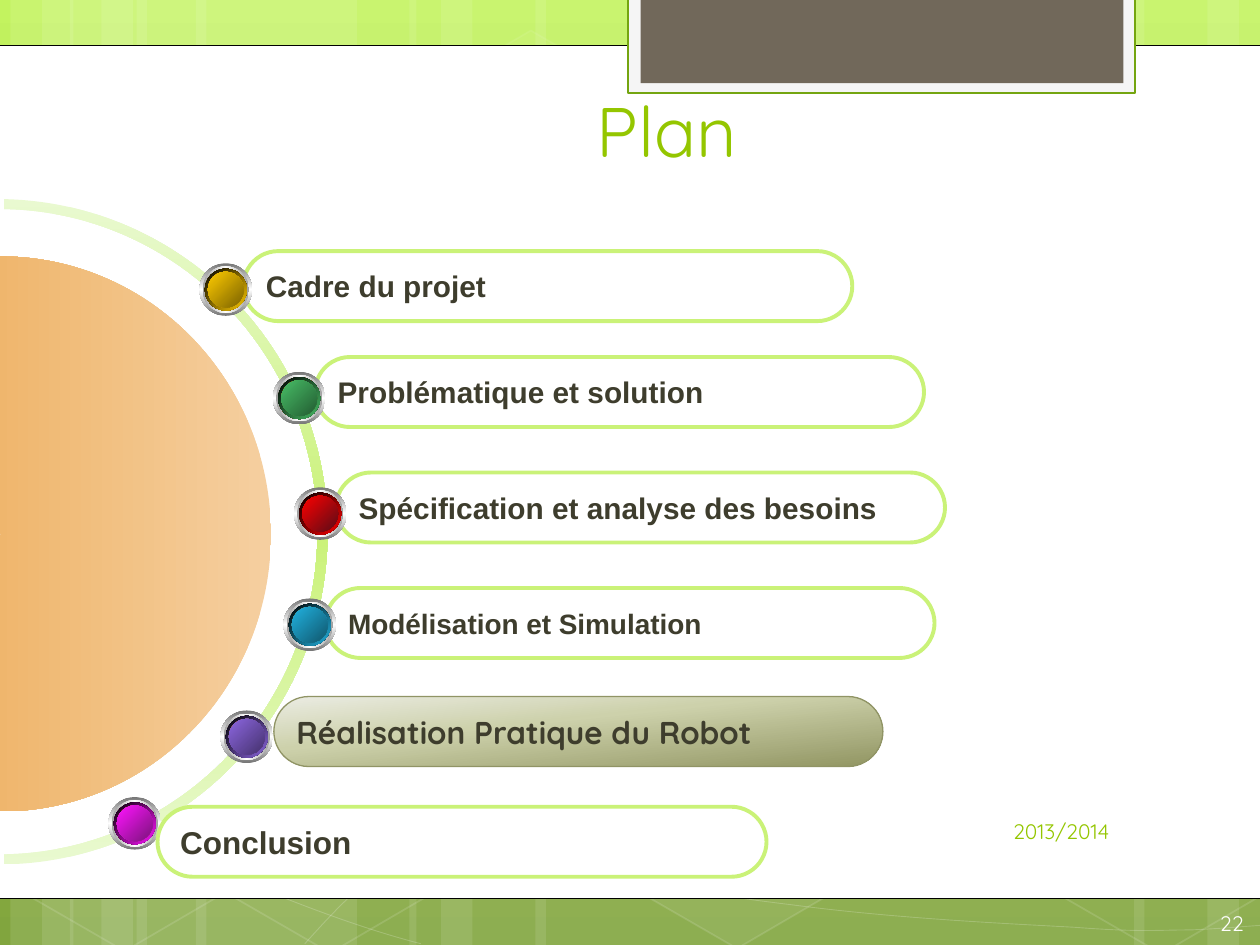
"""Build the "Plan" agenda slide: six pills with ball markers along an arc."""
from math import cos, radians, sin

from pptx import Presentation
from pptx.dml.color import RGBColor
from pptx.enum.shapes import MSO_SHAPE
from pptx.enum.text import MSO_ANCHOR, PP_ALIGN
from pptx.oxml import parse_xml
from pptx.oxml.ns import nsdecls, qn
from pptx.util import Pt

RECT, ROUND, OVAL, HEXAGON = (MSO_SHAPE.RECTANGLE, MSO_SHAPE.ROUNDED_RECTANGLE,
                              MSO_SHAPE.OVAL, MSO_SHAPE.HEXAGON)
MIDDLE, BOTTOM = MSO_ANCHOR.MIDDLE, MSO_ANCHOR.BOTTOM
LEFT, CENTER, RIGHT = PP_ALIGN.LEFT, PP_ALIGN.CENTER, PP_ALIGN.RIGHT
SEGMENTS = {"M": ("moveTo", 1), "L": ("lnTo", 1), "C": ("cubicBezTo", 3)}

W, H = 720, 540
WHITE, LIME, GREEN, INK = "FFFFFF", "CAF278", "94C600", "3E3D2D"
BACKDROP = [(0, "C3F35F"), (62, "93BF3F"), (100, "81A53E")]
STRIPES = [(78, 126), (6, 36), (24, 60), (112, 126), (40, 36), (58, 60),
           (528, 126), (690, 36), (648, 60), (306, 222), (234, 36), (252, 60)]
CURVES = [
    ((4.3, 444.2, 236.9, 95), "M 4.3 444.2 C 91.4 483.8 177.8 523.4 240.5 539.3"),
    ((5, 416.2, 720, 116.6),
     "M 5 416.2 C 27.4 424.1 50.4 432 92.2 443.5 133.9 454.3 196.6 472.3 257 484.6 "
     "316.8 496.8 392.4 509.8 452.2 517 511.9 524.9 576 527.8 614.2 529.9 "
     "651.6 532.8 661.7 531.4 680.4 531.4 699.1 530.6 712.1 529.2 725 528.5"),
    ((174.2, 403.9, 550.1, 135.4),
     "M 174.2 539.3 C 187.2 524.9 200.2 510.5 217.4 497.5 234.7 484.6 259.2 470.2 279.4 460.1 "
     "299.5 450 311.8 445.7 338.4 438.5 364.3 431.3 412.6 421.2 437.8 416.2 "
     "463.7 411.1 467.3 411.1 489.6 409.7 511.9 407.5 547.2 405.4 571.7 404.6 "
     "596.9 403.9 637.9 404.6 637.9 404.6 L 686.2 404.6 "
     "C 699.1 405.4 711.4 406.1 717.8 406.8 724.3 407.5 722.2 406.8 724.3 407.5"),
]
HEXAGONS = [(240.5, 26, 4, 8), (358, 424, 6, 12), (8, 425.5, 0, 12), (10, 224.5, 7, 8),
            (125.5, 426.5, 0, 12), (600.5, 427, 0, 12), (600.5, 226, 7, 8)]
CUT_HEXAGONS = [
    ((-23.8, 330.5, 99.4, 109.4), 10,
     "M 5.8 320.4 L 13.7 315.4 69.1 347 68.4 410.4 14.4 442.1 5.8 437 5.8 320.4 Z"),
    ((660.2, 319.7, 97.9, 109.4), 4,
     "M 666.7 349.2 L 720.7 317.5 726.5 321.1 726.5 441.4 721.4 444.2 666.7 412.6 666.7 349.2 Z"),
    ((660.2, 118.8, 97.9, 109.4), 0,
     "M 666.7 149 L 720.7 117.4 727.2 121 726.5 241.2 721.4 244.1 666.7 212.4 666.7 149 Z"),
]
ARC = ((-190.8, 115.9, 380.2, 375.8),
       "M 2.2 119.5 C 101.5 121 181.4 203 181.4 303.8 181.4 404.6 101.5 486.7 2.2 488.2 "
       "L 2.2 493.9 C 104.4 492.5 187.2 407.5 187.2 303.8 187.2 200.2 104.4 115.9 2.2 113.8 Z")
ARC_FILL = [(0, "E9F9D0"), (50, LIME), (100, "E9F9D0")]
DISC = ((-159.1, 150.5, 317.5, 309.6),
        "M 0 306 C 0.7 306 0.7 305.3 0.7 305.3 0.7 304.6 0.7 304.6 0 304.6 "
        "L 0 146.5 C 85.7 146.5 154.8 217.4 154.8 305.3 154.8 393.1 85.7 463.7 0 463.7 Z")
DISC_FILL = [(0, "F5CFA0"), (70, "EDAC58"), (100, "EDA850")]
ACTIVE_FILL = [(0, "EBECE3"), (40, "CDD1AB"), (100, "929663")]
ROWS = [
    ("Cadre du projet", 17, (139, 143.5), (129, 165.5), "FFCC00", "7C6300"),
    ("Problématique et solution", 17, (180, 204), (171, 227.5), "48BE67", "235C32"),
    ("Spécification et analyse des besoins", 17, (192, 270), (183, 293.5), "FF0000", "5C0C17"),
    ("Modélisation et Simulation", 16, (186, 336), (177, 357), "21B3E1", "10576D"),
    ("Réalisation Pratique du Robot", 18, (156.5, 398), (141, 421), "8D67E1", "45326D"),
    ("Conclusion", 18, (90, 461), (77, 470.5), "FF13FF", "7C137C"),
]
ACTIVE = "Réalisation Pratique du Robot"


def rgb(value):
    return RGBColor.from_string(value)


def fade(parent, percent):
    color = parent.find(".//" + qn("a:srgbClr"))
    color.append(parse_xml(f'<a:alpha {nsdecls("a")} val="{percent * 1000}"/>'))


def gradient(fill, root, stops, angle):
    fill.solid()
    old = root.find(".//" + qn("a:solidFill"))
    gs = "".join(f'<a:gs pos="{pos * 1000}"><a:srgbClr val="{c}"/></a:gs>' for pos, c in stops)
    old.getparent().replace(old, parse_xml(
        f'<a:gradFill {nsdecls("a")} rotWithShape="1"><a:gsLst>{gs}</a:gsLst>'
        f'<a:lin ang="{angle * 60000}" scaled="0"/></a:gradFill>'))


def paint(sp, fill=None, line=None, width=1, angle=0, alpha=None, line_alpha=None):
    sp.shadow.inherit = False
    if isinstance(fill, list):
        gradient(sp.fill, sp.element.spPr, fill, angle)
    elif fill:
        sp.fill.solid()
        sp.fill.fore_color.rgb = rgb(fill)
        if alpha:
            fade(sp.element.spPr, alpha)
    else:
        sp.fill.background()
    if line:
        sp.line.color.rgb = rgb(line)
        sp.line.width = Pt(width)
        if line_alpha:
            fade(sp.element.spPr.find(qn("a:ln")), line_alpha)
    else:
        sp.line.fill.background()
    return sp


def shape(s, kind, x, y, w, h, *args, **look):
    return paint(s.shapes.add_shape(kind, Pt(x), Pt(y), Pt(w), Pt(h)), *args, **look)


def segments(track, box, turn):
    x, y, w, h = box
    c, d = cos(radians(turn)), sin(radians(turn))
    tag, count, coords, xml = "", 0, [], ""
    for token in track.split():
        if token == "Z":
            xml += "<a:close/>"
        elif token in SEGMENTS:
            tag, count = SEGMENTS[token]
        else:
            coords.append(float(token))
            if len(coords) == 2 * count:
                pts = ""
                for px, py in zip(coords[::2], coords[1::2]):
                    dx, dy = px - x - w / 2, py - y - h / 2
                    lx, ly = w / 2 + dx * c + dy * d, h / 2 + dy * c - dx * d
                    pts += f'<a:pt x="{int(Pt(lx))}" y="{int(Pt(ly))}"/>'
                xml += f"<a:{tag}>{pts}</a:{tag}>"
                coords = []
    return xml


def outline(s, box, track, turn=0, **look):
    x, y, w, h = (Pt(v) for v in box)
    builder = s.shapes.build_freeform(x, y)
    builder.add_line_segments([(x + w, y + h)], close=False)
    sp = builder.convert_to_shape()
    old = sp.element.spPr.find(".//" + qn("a:path"))
    old.getparent().replace(old, parse_xml(
        f'<a:path {nsdecls("a")} w="{int(w)}" h="{int(h)}">{segments(track, box, turn)}</a:path>'))
    sp.rotation = turn
    return paint(sp, **look)


def write(sp, text, size, font, color, align=LEFT, anchor=MIDDLE, bold=False, wrap=True):
    tf = sp.text_frame
    tf.word_wrap = wrap
    tf.vertical_anchor = anchor
    p = tf.paragraphs[0]
    p.text = text
    p.alignment = align
    p.font.size = Pt(size)
    p.font.name = font
    p.font.bold = bold
    p.font.color.rgb = rgb(color)


def label(s, x, y, w, h, *args, **style):
    write(s.shapes.add_textbox(Pt(x), Pt(y), Pt(w), Pt(h)), *args, **style)


def pill(s, text, size, corner):
    active = text == ACTIVE
    look = (ACTIVE_FILL, "909465", 0.75, 84) if active else (None, LIME, 2.25)
    sp = shape(s, ROUND, *corner, 348, 40, *look)
    sp.adjustments[0] = 0.5
    write(sp, text, size, "Quicksand" if active else "Arial", INK, bold=True, wrap=False)


def ball(s, center, light, dark):
    rings = [(30, ("767676", WHITE, "767676"), 90), (26.5, ("A2A2A2", WHITE, "A2A2A2"), 0),
             (24, (WHITE, "E68200", WHITE), 45), (24, ("000000", light), 45),
             (20.5, ("B06400", "E68200", "B06400"), 315), (20.5, (light, dark), 45)]
    for d, colors, angle in rings:
        stops = [(100 * i // (len(colors) - 1), c) for i, c in enumerate(colors)]
        shape(s, OVAL, center[0] - d / 2, center[1] - d / 2, d, d, stops, angle=angle)


def main():
    prs = Presentation()
    prs.slide_width, prs.slide_height = Pt(W), Pt(H)
    s = prs.slides.add_slide(prs.slide_layouts[6])
    gradient(s.background.fill, s.element, BACKDROP, 90)
    for x, w in STRIPES:
        shape(s, RECT, x, 0, w, H, WHITE, alpha=10)
    for box, track in CURVES:
        outline(s, box, track, line=WHITE, width=0.5, line_alpha=20)
    for x, y, alpha, line_alpha in HEXAGONS:
        sp = shape(s, HEXAGON, x, y, 126, 109.5, WHITE if alpha else None, WHITE,
                   alpha=alpha, line_alpha=line_alpha)
        sp.adjustments[0] = 0.285
        sp.rotation = 30
    for box, alpha, track in CUT_HEXAGONS:
        outline(s, box, track, 30, fill=WHITE if alpha else None, line=WHITE,
                alpha=alpha, line_alpha=12)

    shape(s, RECT, -6, 26, 732, 487.25, WHITE, "000000", 0.5)
    shape(s, RECT, 359, -1.5, 289.5, 54.5, "F5F5F5", "74A510", 1.25)
    shape(s, RECT, 366, -1.5, 276, 49, "71685A")
    outline(s, *ARC, 90, fill=ARC_FILL)
    label(s, 42, 63.5, 678, 38, "Plan", 40, "Quicksand", GREEN, align=CENTER, anchor=BOTTOM)
    label(s, 690, 515, 30, 25, "22", 12, "Quicksand", "FEFEFE")
    outline(s, *DISC, 90, fill=DISC_FILL, angle=90)
    for text, size, corner, *_ in ROWS[:-1]:
        pill(s, text, size, corner)
    for _, _, _, center, light, dark in ROWS:
        ball(s, center, light, dark)
    pill(s, *ROWS[-1][:3])
    label(s, 365.5, 460.5, 275.5, 29, "2013/2014", 12, "Quicksand", GREEN, align=RIGHT)
    prs.save("out.pptx")


if __name__ == "__main__":
    main()
